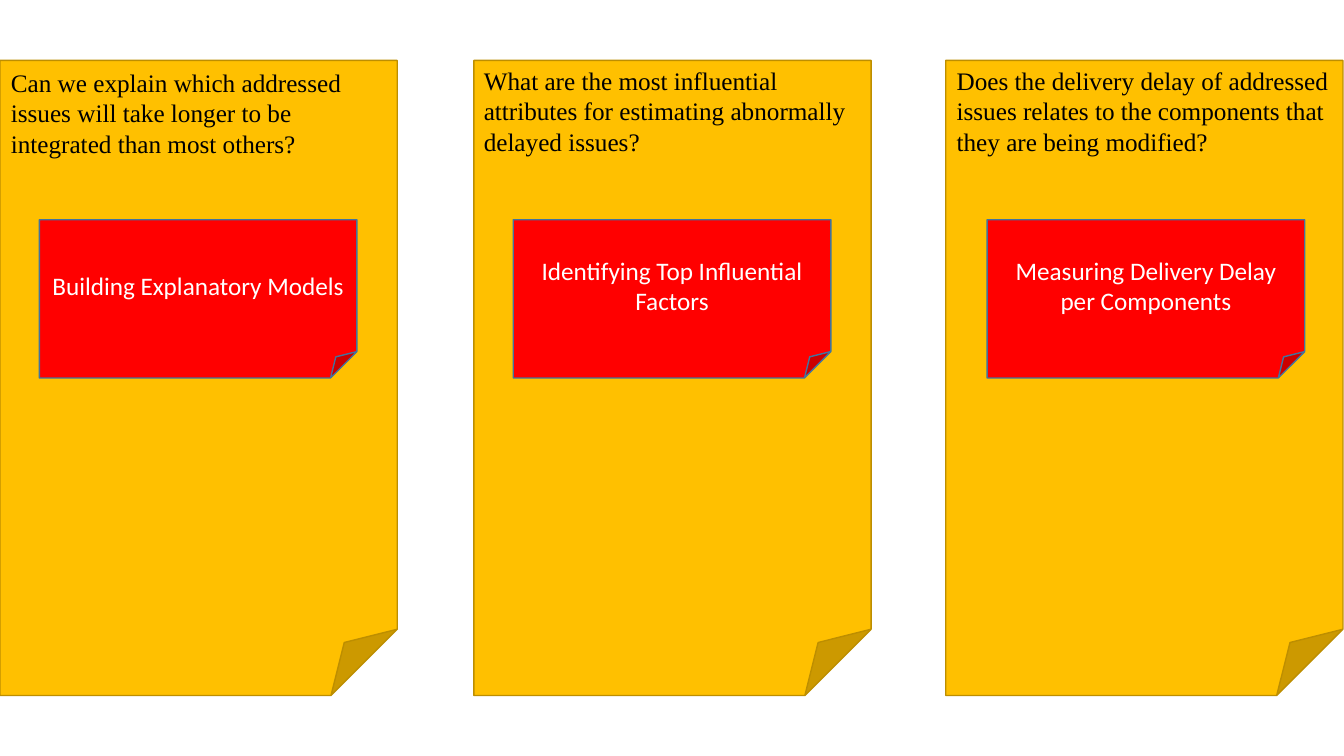
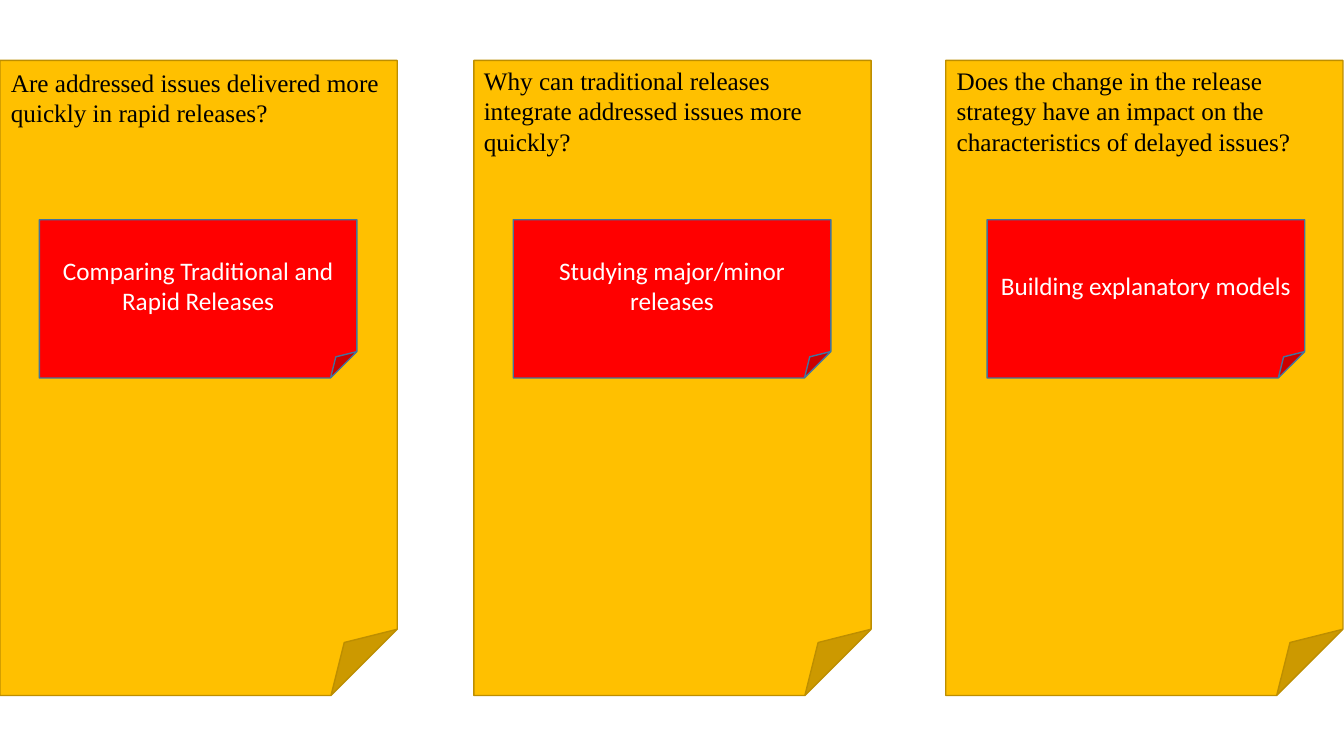
from pptx import Presentation
from pptx import util as u
from pptx.dml.color import RGBColor
from pptx.enum import shapes, text

# Shared style
GOLD, RED, WHITE, BLACK = "FFC000", "FF0000", "FFFFFF", "000000"
EDGE, BLUE = "BD8E00", "43739E"
ASK = {"name": "Times New Roman", "size": u.Pt(18)}
TAG = {"name": "Calibri", "size": u.Pt(18)}

# Left and top of each question, left of each sheet
SHEETS = (0, 4.7, 9.38)
ASKS = ((0.01, 0.62), (4.7, 0.6), (9.39, 0.6))
TAG_LEFT, TAG_STEP = 0.39, 4.7

# Each slide: three pairs of question and method
SLIDES = [
    [("Can we explain which addressed issues will take longer to be "
      "integrated than most others?", "Building Explanatory Models"),
     ("What are the most influential attributes for estimating abnormally "
      "delayed issues?", "Identifying Top Influential Factors"),
     ("Does the delivery delay of addressed issues relates to the components "
      "that they are being modified?",
      "Measuring Delivery Delay per Components")],
    [("Are addressed issues delivered more quickly in rapid releases?",
      "Comparing Traditional and Rapid Releases"),
     ("Why can traditional releases integrate addressed issues more quickly?",
      "Studying major/minor releases"),
     ("Does the change in the release strategy have an impact on the "
      "characteristics of delayed issues?", "Building explanatory models")],
]


def color(code):
    return RGBColor.from_string(code)


class Deck:
    def __init__(self):
        self.prs = Presentation()
        self.prs.slide_width = u.Inches(13.33)
        self.prs.slide_height = u.Inches(7.5)
        self.slide = None

    def page(self):
        self.slide = self.prs.slides.add_slide(self.prs.slide_layouts[6])

    def label(self, frame, words, style, ink):
        frame.word_wrap = True
        para = frame.paragraphs[0]
        run = para.add_run()
        run.text = words
        for key, value in style.items():
            setattr(run.font, key, value)
        run.font.color.rgb = color(ink)
        return para

    def note(self, box, fill, edge):
        shape = self.slide.shapes.add_shape(
            shapes.MSO_SHAPE.FOLDED_CORNER, *map(u.Inches, box))
        shape.shadow.inherit = False
        shape.fill.solid()
        shape.fill.fore_color.rgb = color(fill)
        shape.line.color.rgb = color(edge)
        shape.line.width = u.Pt(1)
        return shape

    def sheet(self, left):
        self.note((left, 0.6, 3.94, 6.3), GOLD, EDGE)

    def ask(self, left, top, words):
        box = self.slide.shapes.add_textbox(
            *map(u.Inches, (left, top, 3.94, 1.01)))
        self.label(box.text_frame, words, ASK, BLACK)

    def tag(self, left, words):
        frame = self.note((left, 2.18, 3.15, 1.57), RED, BLUE).text_frame
        frame.vertical_anchor = text.MSO_ANCHOR.MIDDLE
        para = self.label(frame, words, TAG, WHITE)
        para.alignment = text.PP_ALIGN.CENTER


def main():
    deck = Deck()
    for pairs in SLIDES:
        deck.page()
        # Tall sheets
        for left in SHEETS:
            deck.sheet(left)
        # Questions and their methods
        for i, (query, method) in enumerate(pairs):
            deck.ask(*ASKS[i], query)
            deck.tag(TAG_LEFT + i * TAG_STEP, method)
    deck.prs.save("out.pptx")


if __name__ == "__main__":
    main()
